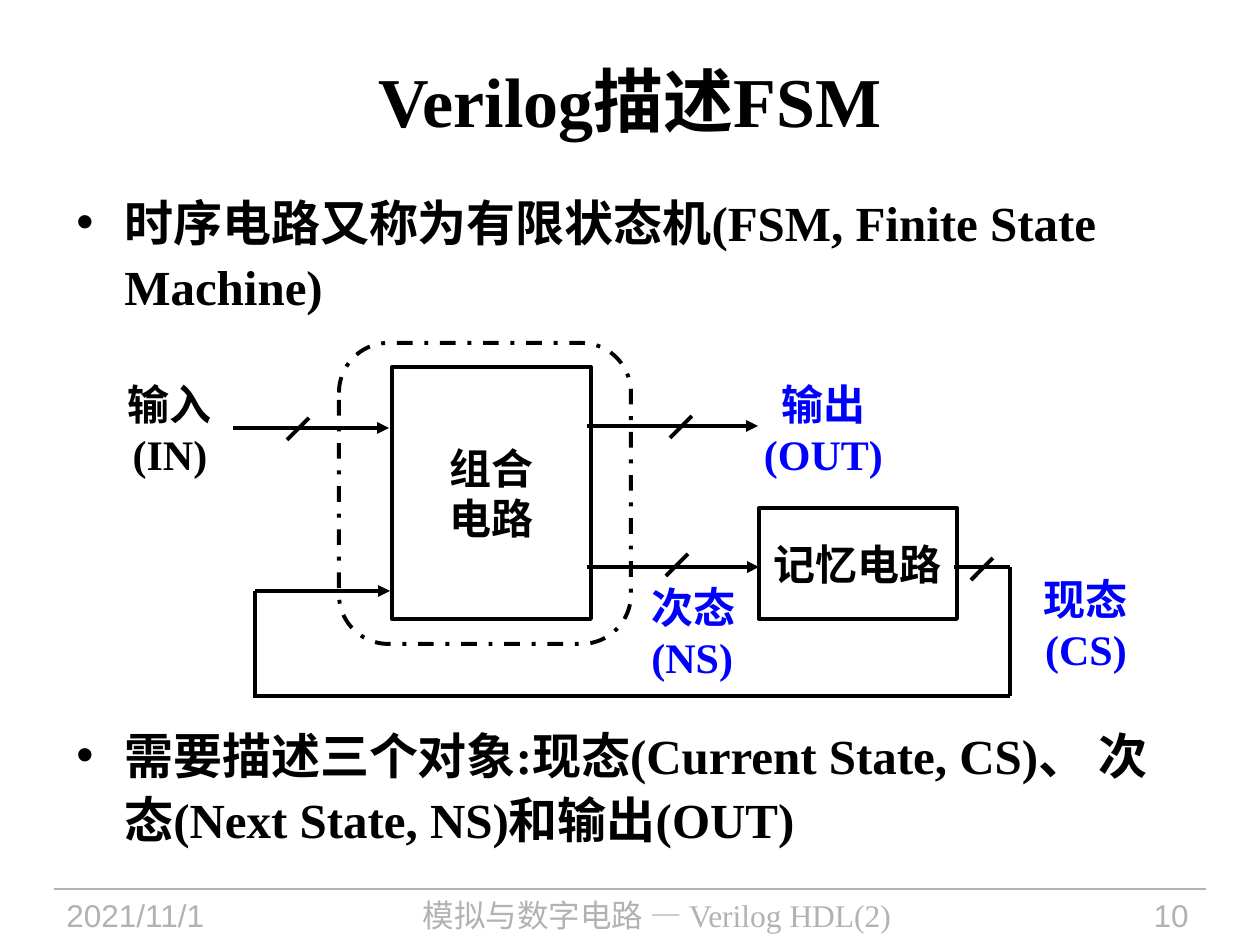
from pptx import Presentation
from pptx.dml.color import RGBColor
from pptx.enum.dml import MSO_LINE
from pptx.enum.shapes import MSO_CONNECTOR, MSO_SHAPE
from pptx.enum.text import MSO_ANCHOR, PP_ALIGN
from pptx.oxml.ns import qn
from pptx.util import Pt
from lxml.etree import SubElement

BLACK = RGBColor(0, 0, 0)
BLUE = RGBColor(0, 0, 255)
GRAY = RGBColor(0xB2, 0xB2, 0xB2)
WHITE = RGBColor(255, 255, 255)
SERIF, SANS = "Times New Roman", "Arial"
LEFT, CENTER, RIGHT = PP_ALIGN.LEFT, PP_ALIGN.CENTER, PP_ALIGN.RIGHT
TOP, MIDDLE = MSO_ANCHOR.TOP, MSO_ANCHOR.MIDDLE
PX = 914400 / 126

TITLE = ("Verilog描述FSM", (63, 21, 1134, 158))
BULLETS = [
    ("时序电路又称为有限状态机(FSM, Finite State Machine)", (64, 180, 1127, 150)),
    ("需要描述三个对象:现态(Current State, CS)、 次态(Next State, NS)和输出(OUT)".replace(":", ":"),
     (64, 713, 1127, 150)),
]
BLOCKS = [
    (["组合", "电路"], (392, 367, 199, 252), WHITE),
    (["记忆电路"], (759, 508, 198, 111), None),
]
LABELS = [
    (["输入", "(IN)"], (102, 372, 136, 114), BLACK, CENTER),
    (["输出", "(OUT)"], (744, 372, 159, 114), BLUE, CENTER),
    (["次态", "(NS)"], (639, 575, 143, 114), BLUE, LEFT),
    (["现态", "(CS)"], (1017, 567, 138, 114), BLUE, CENTER),
]
FOOTER = [
    ("2021/11/1", (54, 890, 237, 55), SANS, LEFT),
    ("模拟与数字电路 — Verilog HDL(2)", (302, 890, 710, 55), SERIF, CENTER),
    ("10", (1033, 890, 168, 55), SANS, RIGHT),
]
ARROWS = [
    (233, 428, 389, 428), (255, 591, 390, 591),
    (587, 567, 759, 567), (587, 426, 758, 426),
]
WIRES = [
    (954, 567, 1010, 567), (1010, 567, 1010, 696),
    (253, 696, 1010, 696), (255, 591, 255, 696),
]
BUS_MARKS = [(298, 429), (681, 427), (677, 565), (982, 569)]
MARK_HALF = 11
BOUNDARY = (339, 343, 292, 301)


def px(*values):
    return [round(v * PX) for v in values]


def write(sp, lines, size, color, font=SERIF, align=CENTER, anchor=TOP, bold=True):
    tf = sp.text_frame
    tf.word_wrap = True
    tf.vertical_anchor = anchor
    for i, line in enumerate(lines):
        p = tf.paragraphs[0] if i == 0 else tf.add_paragraph()
        p.alignment = align
        r = p.add_run()
        r.text = line
        r.font.color.rgb = color
        for name, value in {"size": Pt(size), "name": font, "bold": bold}.items():
            setattr(r.font, name, value)
    return tf


def add_text(box, lines, size, color, **style):
    return write(s.shapes.add_textbox(*px(*box)), lines, size, color, **style)


def add_outline(kind, box, fill=None):
    sp = s.shapes.add_shape(kind, *px(*box))
    sp.shadow.inherit = False
    if fill is None:
        sp.fill.background()
    else:
        sp.fill.solid()
        sp.fill.fore_color.rgb = fill
    sp.line.color.rgb = BLACK
    sp.line.width = Pt(2.25)
    return sp


def add_line(ends, color=BLACK, width=2.25, arrow=False):
    cx = s.shapes.add_connector(MSO_CONNECTOR.STRAIGHT, *px(*ends))
    cx.line.color.rgb = color
    cx.line.width = Pt(width)
    if arrow:
        SubElement(cx.line._get_or_add_ln(), qn("a:tailEnd"), type="triangle")
    SubElement(cx._element.spPr, qn("a:effectLst"))


def add_bullet(p, indent):
    p.line_spacing = 1.1
    pPr = p._p.get_or_add_pPr()
    pPr.set("marL", str(indent))
    pPr.set("indent", str(-indent))
    SubElement(pPr, qn("a:buFont"), typeface=SANS)
    SubElement(pPr, qn("a:buChar"), char="•")


prs = Presentation()
prs.slide_width, prs.slide_height = px(1260, 945)
s = prs.slides.add_slide(prs.slide_layouts[6])

add_line((54, 889, 1206, 889), GRAY, 0.75)
add_text(TITLE[1], [TITLE[0]], 40, BLACK, anchor=MIDDLE)
for text, box in BULLETS:
    tf = add_text(box, [text], 28, BLACK, align=LEFT)
    add_bullet(tf.paragraphs[0], px(48)[0])

for lines, box, fill in BLOCKS:
    sp = add_outline(MSO_SHAPE.RECTANGLE, box, fill)
    tf = write(sp, lines, 24, BLACK, font=SANS, anchor=MIDDLE)
    tf.word_wrap = False
    for side in ("left", "top", "right", "bottom"):
        setattr(tf, f"margin_{side}", 0)

for ends in ARROWS:
    add_line(ends, arrow=True)
for ends in WIRES:
    add_line(ends)
for x, y in BUS_MARKS:
    add_line((x + MARK_HALF, y - MARK_HALF, x - MARK_HALF, y + MARK_HALF))

for lines, box, color, align in LABELS:
    add_text(box, lines, 24, color, align=align)
for text, box, font, align in FOOTER:
    add_text(box, [text], 18, GRAY, font=font, align=align, bold=False)

boundary = add_outline(MSO_SHAPE.ROUNDED_RECTANGLE, BOUNDARY)
boundary.adjustments[0] = 0.17
boundary.line.dash_style = MSO_LINE.DASH_DOT

prs.save("out.pptx")
